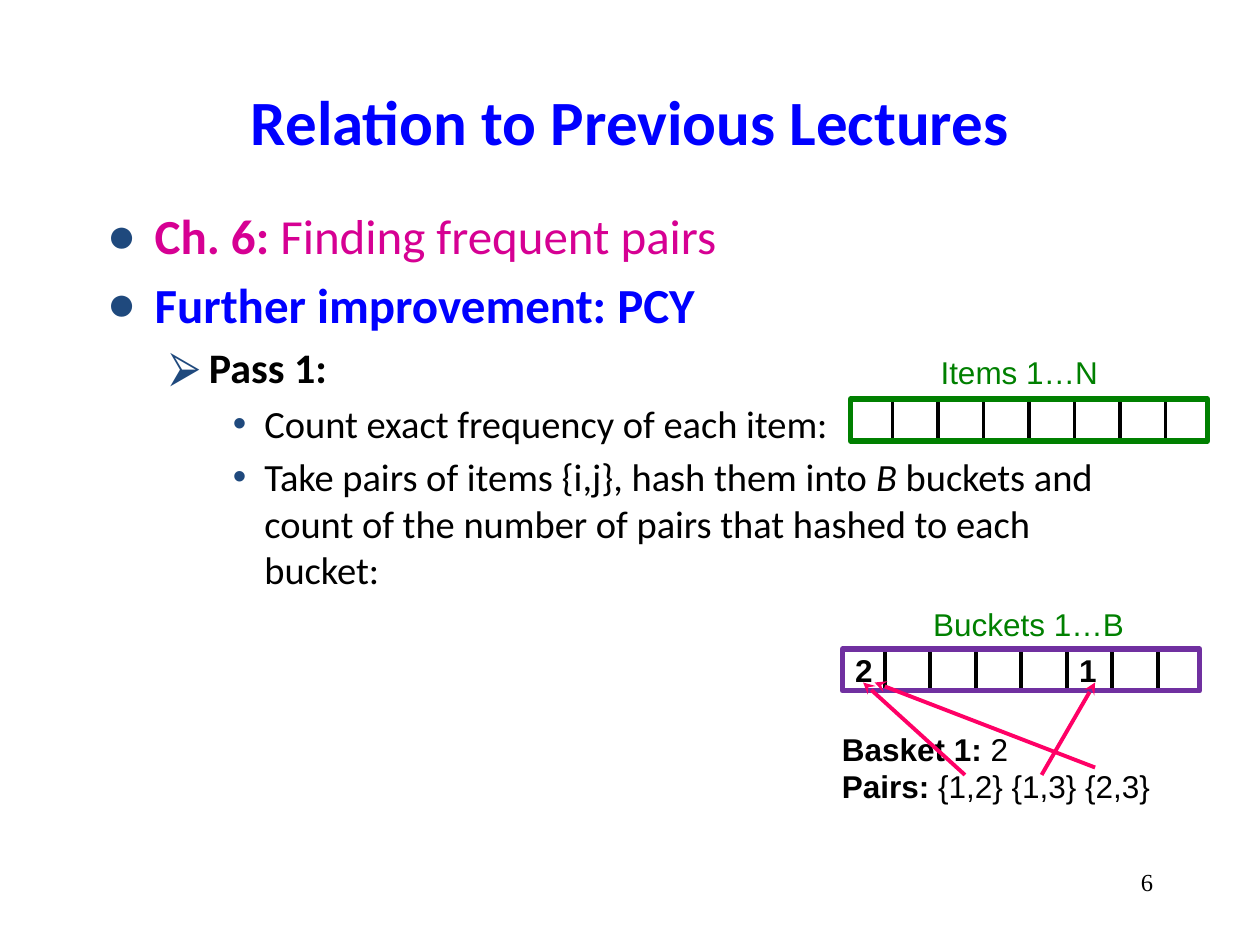
from dataclasses import dataclass

from lxml import etree
from pptx import Presentation
from pptx import util as u
from pptx.dml.color import RGBColor
from pptx.enum import shapes, text
from pptx.oxml.ns import qn


@dataclass(frozen=True)
class Theme:
    """Colours, fonts and type sizes of the slide."""
    blue: str = "0000FF"
    pink: str = "D60093"
    navy: str = "1F497D"
    green: str = "008000"
    purple: str = "7030A0"
    rose: str = "FF0066"
    black: str = "000000"
    head: str = "Calibri"
    label: str = "Arial"
    serif: str = "Times New Roman"
    title: int = 36
    levels: tuple = (28, 24, 22)
    note: int = 18
    page: int = 14


T = Theme()
COLS, ROWS = 120, 90
WIDE, HIGH = u.Inches(10), u.Inches(7.5)
CELLS, FIRST, STEP, TALL = 8, 4, 13 / 3, 4
LEVELS = ((0.38, 0.38, 5.6, "●"), (0.81, 0.31, 4.8, "⮚"), (1.25, 0.25, 4.4, "•"))


def place(col, row):
    """Turn grid columns and rows into slide lengths."""
    return round(WIDE * col / COLS), round(HIGH * row / ROWS)


def bullet(para, level, first):
    """Give a paragraph the indent, gap and bullet of its level."""
    left, hang, gap, mark = LEVELS[level]
    props = para._p.get_or_add_pPr()
    props.set("marL", str(u.Inches(left)))
    props.set("indent", str(-u.Inches(hang)))
    para.level = level
    para.space_before = u.Pt(0 if first else gap)
    tint = etree.SubElement(props, qn("a:buClr"))
    etree.SubElement(tint, qn("a:srgbClr"), val=T.navy)
    etree.SubElement(props, qn("a:buFont"), typeface=T.label)
    etree.SubElement(props, qn("a:buChar"), char=mark)


def write(slide, at, paras, font=T.label, size=T.note, color=T.black,
          align=text.PP_ALIGN.LEFT, anchor=text.MSO_ANCHOR.TOP, wrap=True):
    """Add a text box whose paragraphs are (runs, format) pairs."""
    box = slide.shapes.add_textbox(*place(*at[:2]), *place(*at[2:]))
    frame = box.text_frame
    frame.word_wrap, frame.vertical_anchor = wrap, anchor
    for n, (runs, form) in enumerate(paras):
        para = frame.add_paragraph() if n else frame.paragraphs[0]
        para.alignment = align
        level = form.get("level")
        if level is not None:
            bullet(para, level, n == 0)
        for words, style in runs:
            run = para.add_run()
            run.text = words
            run.font.name = font
            run.font.size = u.Pt(size if level is None else T.levels[level])
            run.font.bold = "b" in style
            run.font.italic = "i" in style
            run.font.color.rgb = RGBColor.from_string(form.get("color", color))


def line(slide, start, end, color=T.black, arrow=False):
    """Draw a straight line, with an arrowhead at its end if asked."""
    link = slide.shapes.add_connector(
        shapes.MSO_CONNECTOR.STRAIGHT, *place(*start), *place(*end))
    link.line.color.rgb = RGBColor.from_string(color)
    link.line.width = u.Pt(2.25)
    if arrow:
        etree.SubElement(link.line._get_or_add_ln(), qn("a:tailEnd"), type="stealth")
    etree.SubElement(link._element.spPr, qn("a:effectLst"))


def array(slide, col, row, color):
    """Draw a framed row of cells."""
    for n in range(CELLS - 1):
        x = col + FIRST + n * STEP
        line(slide, (x, row), (x, row + TALL))
    box = slide.shapes.add_shape(
        shapes.MSO_SHAPE.RECTANGLE, *place(col, row), *place(34, TALL))
    box.shadow.inherit = False
    box.fill.background()
    box.line.color.rgb = RGBColor.from_string(color)
    box.line.width = u.Pt(3)


def main():
    """Build and save the slide."""
    deck = Presentation()
    deck.slide_width, deck.slide_height = WIDE, HIGH
    slide = deck.slides.add_slide(deck.slide_layouts[6])

    write(slide, (9, 4, 102, 15), [([("Relation to Previous Lectures", "b")], {})],
          font=T.head, size=T.title, color=T.blue,
          align=text.PP_ALIGN.CENTER, anchor=text.MSO_ANCHOR.MIDDLE)
    write(slide, (9, 19, 102, 61), [
        ([("Ch. 6:", "b"), (" Finding frequent pairs", "")],
         {"level": 0, "color": T.pink}),
        ([("Further improvement: PCY", "b")], {"level": 0, "color": T.blue}),
        ([("Pass 1:", "b")], {"level": 1}),
        ([("Count exact frequency of each item:", "")], {"level": 2}),
        ([("Take pairs of items {i,j}, hash them into ", ""), ("B", "i"),
          (" buckets and count of the number of pairs that hashed to each bucket:", "")],
         {"level": 2}),
    ], font=T.head)
    write(slide, (86, 82, 25, 6), [([("6", "")], {})],
          font=T.serif, size=T.page, align=text.PP_ALIGN.RIGHT)

    array(slide, 81, 38, T.green)
    write(slide, (88.4, 33, 17.5, 4.8), [([("Items 1…N", "")], {})],
          color=T.green, wrap=False)

    left, top = 80.25, 61.8
    array(slide, left, top, T.purple)
    write(slide, (79, 68.9, 32, 8.5), [
        ([("Basket 1:", "b"), (" 2", "")], {}),
        ([("Pairs:", "b"), (" {1,2} {1,3} {2,3}", "")], {}),
    ])
    write(slide, (87.7, 57, 20.8, 4.8), [([("Buckets 1…B", "")], {})],
          color=T.green, wrap=False)
    for start, tip in (((91.9, 73.8), 82.2), ((104.3, 73.1), 83.3), ((99.2, 73.8), 104.3)):
        line(slide, start, (tip, 65), T.rose, arrow=True)
    for col, count in ((left, "2"), (left + FIRST + 4 * STEP, "1")):
        write(slide, (col, 61.4, STEP, 4.8), [([(count, "b")], {})], wrap=False)

    deck.save("out.pptx")


if __name__ == "__main__":
    main()
